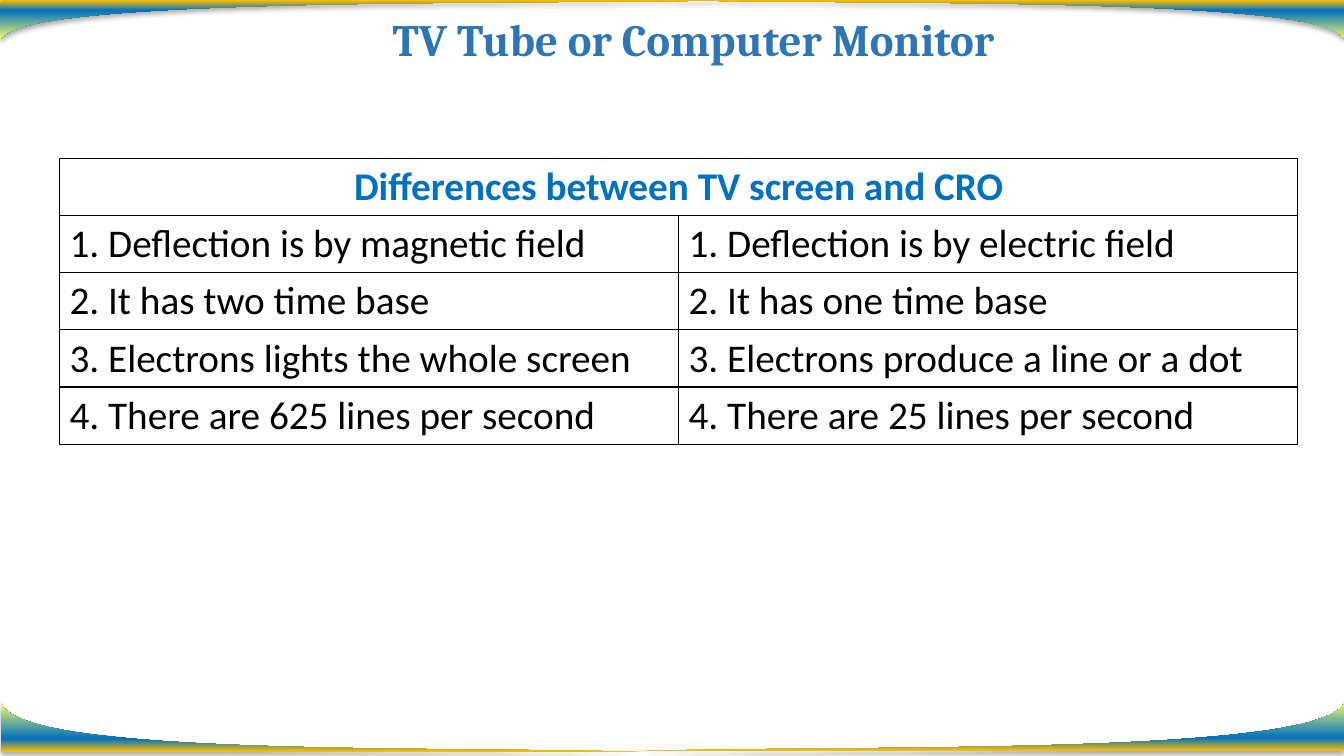
from lxml.etree import SubElement
from pptx import Presentation
from pptx.dml.color import RGBColor
from pptx.enum.text import MSO_ANCHOR as Anchor, PP_ALIGN as Align
from pptx.oxml import parse_xml
from pptx.oxml.ns import nsdecls, qn
from pptx.util import Inches, Pt

TITLE = "TV Tube or Computer Monitor"
HEADING = "Differences between TV screen and CRO"
DIFFERENCES = [
    ("1. Deflection is by magnetic field", "1. Deflection is by electric field"),
    ("2. It has two time base", "2. It has one time base"),
    ("3. Electrons lights the whole screen", "3. Electrons produce a line or a dot"),
    ("4. There are 625 lines per second", "4. There are 25 lines per second"),
]

# Each swoosh: corner, inner tip, two curve controls, outer tip; then gradient angle
SWOOSHES = [
    ([(0.01, 7.46), (6.37, 7.46), (4.25, 7.4), (0.11, 7.51), (0.01, 6.96)], 270),
    ([(13.33, 7.45), (6.37, 7.45), (8.68, 7.39), (13.22, 7.5), (13.34, 6.95)], 270),
    ([(0.01, 0), (7.52, 0), (5.02, 0.05), (0.13, -0.04), (0, 0.4)], 90),
    ([(13.33, 0), (6.48, 0), (8.76, 0.05), (13.22, -0.04), (13.34, 0.4)], 90),
]

THEME = {
    "title": {"name": "Cambria", "size": Pt(32), "bold": True, "color": "2E75B6"},
    "heading": {"name": "Calibri", "size": Pt(28), "bold": True, "color": "0070C0"},
    "body": {"name": "Calibri", "size": Pt(28), "bold": False, "color": "000000"},
    "border": "000000",
    "gradient": [(0, "FFC000"), (26, "0070C0"), (100, "FFFF66")],
    "shadow": "000000",
}
TITLE_BOX = (1.29, 0.03, 11.18, 0.78)
TABLE_LEFT, TABLE_TOP = 0.59, 1.57
COLUMN_WIDTH, ROW_HEIGHT = 6.14, 0.41  # rows grow to fit their text


def write(paragraph, text, style, align=Align.LEFT):
    paragraph.alignment = align
    run = paragraph.add_run()
    run.text = text
    for key, value in THEME[style].items():
        if key == "color":
            run.font.color.rgb = RGBColor.from_string(value)
        else:
            setattr(run.font, key, value)


def bend_last_edge(swoosh, controls):
    """Turn the last straight edge into a cubic curve with these two controls."""
    edge = swoosh.element.findall(f".//{qn('a:lnTo')}")[-1]
    curve = parse_xml(f'<a:cubicBezTo {nsdecls("a")}/>')
    for x, y in controls:
        SubElement(curve, qn("a:pt"), x=str(x - swoosh.left), y=str(y - swoosh.top))
    curve.append(edge[0])
    edge.getparent().replace(edge, curve)


def add_swoosh(slide, points, angle):
    corner, inner_tip, *controls, outer_tip = [
        (Inches(x), Inches(y)) for x, y in points
    ]
    outline = slide.shapes.build_freeform(*corner)
    outline.add_line_segments([inner_tip, outer_tip])
    swoosh = outline.convert_to_shape()
    bend_last_edge(swoosh, controls)
    swoosh.line.fill.background()
    swoosh.shadow.inherit = False
    properties = swoosh.element.spPr
    stops = "".join(
        f'<a:gs pos="{place * 1000}"><a:srgbClr val="{color}"/></a:gs>'
        for place, color in THEME["gradient"]
    )
    properties.find(qn("a:ln")).addprevious(parse_xml(
        f'<a:gradFill {nsdecls("a")}><a:gsLst>{stops}</a:gsLst>'
        f'<a:lin ang="{angle * 60000}" scaled="0"/></a:gradFill>'
    ))
    properties.find(qn("a:effectLst")).append(parse_xml(
        f'<a:outerShdw {nsdecls("a")} blurRad="{Pt(3.5)}" dist="{Pt(2.2)}" '
        f'dir="5400000" rotWithShape="0"><a:srgbClr val="{THEME["shadow"]}">'
        '<a:alpha val="32000"/></a:srgbClr></a:outerShdw>'
    ))


def add_title(slide):
    frame = slide.shapes.add_textbox(*map(Inches, TITLE_BOX)).text_frame
    frame.word_wrap = True
    frame.vertical_anchor = Anchor.MIDDLE
    frame.paragraphs[0].line_spacing = 0.9
    write(frame.paragraphs[0], TITLE, "title", Align.CENTER)


def add_borders(cell):
    properties = cell._tc.get_or_add_tcPr()
    for side in ("lnL", "lnR", "lnT", "lnB"):
        border = SubElement(properties, qn(f"a:{side}"), w=str(Pt(1)))
        fill = SubElement(border, qn("a:solidFill"))
        SubElement(fill, qn("a:srgbClr"), val=THEME["border"])


def add_differences(slide):
    rows, columns = len(DIFFERENCES) + 1, len(DIFFERENCES[0])
    table = slide.shapes.add_table(
        rows, columns, Inches(TABLE_LEFT), Inches(TABLE_TOP),
        Inches(columns * COLUMN_WIDTH), Inches(rows * ROW_HEIGHT),
    ).table
    for column in table.columns:
        column.width = Inches(COLUMN_WIDTH)
    for row in table.rows:
        row.height = Inches(ROW_HEIGHT)
    for cell in table.iter_cells():
        add_borders(cell)
        cell.fill.background()
    heading = table.cell(0, 0)
    heading.merge(table.cell(0, columns - 1))
    write(heading.text_frame.paragraphs[0], HEADING, "heading", Align.CENTER)
    for r, difference in enumerate(DIFFERENCES, start=1):
        for c, text in enumerate(difference):
            write(table.cell(r, c).text_frame.paragraphs[0], text, "body")


def main():
    deck = Presentation()
    deck.slide_width, deck.slide_height = Inches(13.33), Inches(7.5)
    slide = deck.slides.add_slide(deck.slide_layouts[6])
    for points, angle in SWOOSHES:
        add_swoosh(slide, points, angle)
    add_title(slide)
    add_differences(slide)
    deck.save("out.pptx")


if __name__ == "__main__":
    main()
